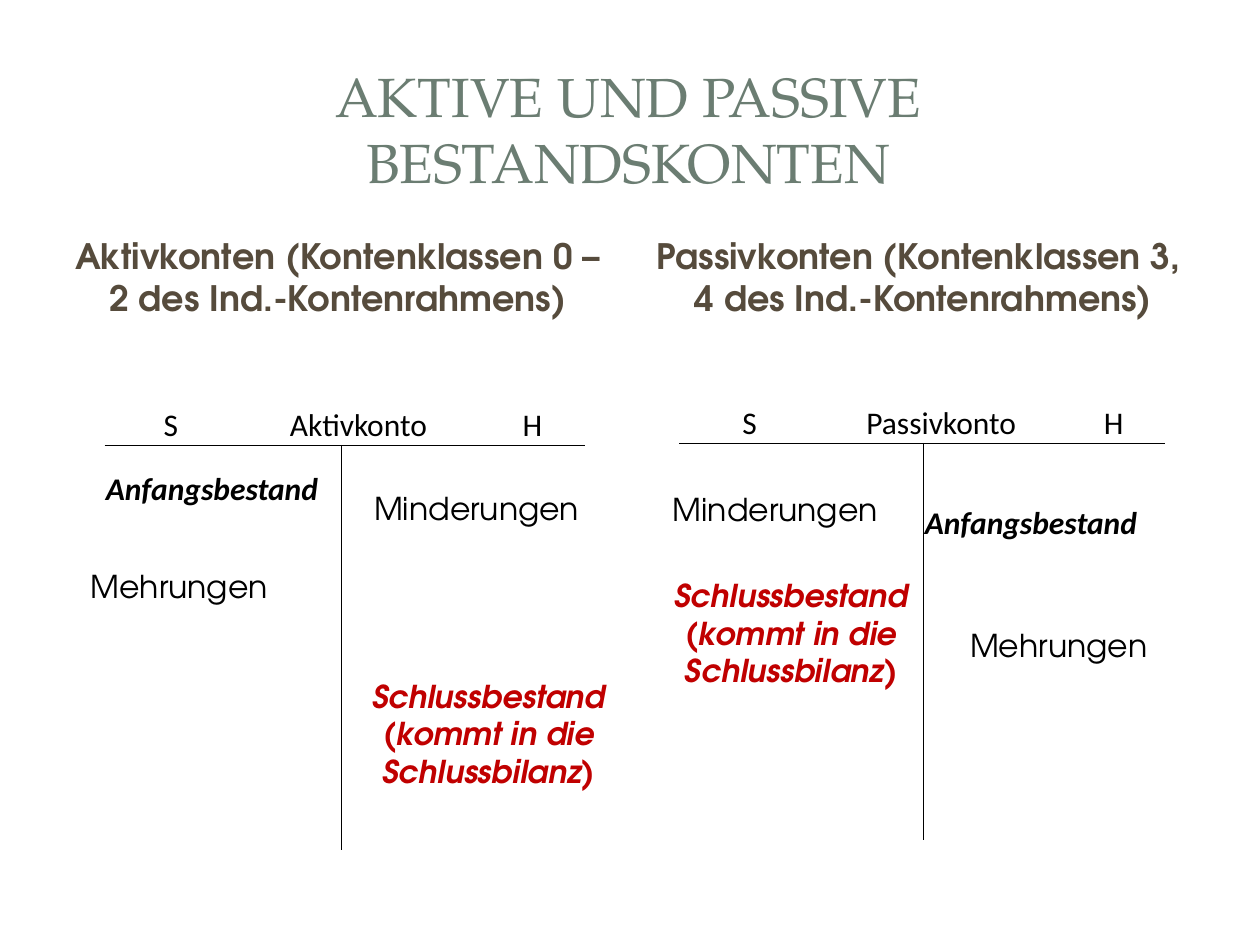
"""Build a slide that contrasts active and passive balance sheet accounts."""
from lxml import etree
from pptx import Presentation
from pptx.dml.color import RGBColor
from pptx.enum.shapes import MSO_SHAPE
from pptx.enum.text import MSO_ANCHOR, PP_ALIGN
from pptx.oxml.ns import qn
from pptx.util import Inches, Pt

COLORS = {"panel": "FFFFFF", "title": "6B7D72", "heading": "564B3C",
          "text": "000000", "closing": "C00000"}
SERIF, SANS, TABLE_FONT = "TeX Gyre Pagella", "TeX Gyre Adventor", "Calibri"
ROW_COUNT = 5
CLOSING = "Schlussbestand (kommt in die Schlussbilanz)"

PANELS = [
    (MSO_SHAPE.ROUNDED_RECTANGLE, (0.1, 0.11, 9.8, 7.29), 100),
    (MSO_SHAPE.RECTANGLE, (0.3, 0.3, 9.4, 1.45), 83),
    (MSO_SHAPE.RECTANGLE, (0.41, 0.41, 9.17, 1.22), 100),
]
TITLE = "AKTIVE UND PASSIVE BESTANDSKONTEN"
HEADINGS = [
    (0.47, "Aktivkonten (Kontenklassen 0 – 2 des Ind.-Kontenrahmens)"),
    (5.08, "Passivkonten (Kontenklassen 3,  4 des Ind.-Kontenrahmens)"),
]
ACCOUNTS = [
    {"name": "Aktivkonto", "left": 0.83, "columns": [1.05, 0.83, 1.1, 0.83],
     "height": 4.02, "opening_column": 0, "opening_bottom": 0.3},
    {"name": "Passivkonto", "left": 5.39, "columns": [1.12, 0.82, 1.1, 0.82],
     "height": 3.94, "opening_column": 2, "opening_bottom": 0},
]
ENTRIES = [
    ("Mehrungen", 0.62, 4.45, 1.81),
    ("Minderungen", 2.87, 3.83, 1.89),
    ("Minderungen", 5.24, 3.84, 1.89),
    ("Mehrungen", 7.6, 4.92, 1.81),
]
CLOSING_PLACES = [(2.84, 5.32), (5.24, 4.52)]


def add_panel(slide, kind, place, opacity):
    shape = slide.shapes.add_shape(kind, *map(Inches, place))
    shape.shadow.inherit = False
    shape.line.fill.background()
    shape.fill.solid()
    shape.fill.fore_color.rgb = RGBColor.from_string(COLORS["panel"])
    if kind == MSO_SHAPE.ROUNDED_RECTANGLE:
        shape.adjustments[0] = 0.02
    if opacity < 100:
        color = shape.fill._xPr.find(f".//{qn('a:srgbClr')}")
        etree.SubElement(color, qn("a:alpha"), val=str(opacity * 1000))


def write_text(frame, text, font=SANS, size=18, color="text", bold=False,
               italic=False, align=PP_ALIGN.LEFT):
    frame.word_wrap = True
    paragraph = frame.paragraphs[0]
    paragraph.alignment = align
    run = paragraph.add_run()
    run.text = text
    run.font.name, run.font.size = font, Pt(size)
    run.font.bold, run.font.italic = bold, italic
    run.font.color.rgb = RGBColor.from_string(COLORS[color])


def add_text(slide, text, left, top, width, height, anchor=MSO_ANCHOR.TOP, **style):
    box = slide.shapes.add_textbox(Inches(left), Inches(top), Inches(width), Inches(height))
    box.text_frame.vertical_anchor = anchor
    write_text(box.text_frame, text, **style)


def set_borders(cell, visible_sides):
    properties = cell._tc.get_or_add_tcPr()
    for side in "LRTB":
        line = etree.SubElement(properties, qn(f"a:ln{side}"), w=str(Pt(0.5)))
        if side in visible_sides:
            fill = etree.SubElement(line, qn("a:solidFill"))
            etree.SubElement(fill, qn("a:srgbClr"), val=COLORS["text"])
        else:
            etree.SubElement(line, qn("a:noFill"))


def visible_sides(row, first_column, last_column):
    if row == 0:
        return "B"
    sides = "T" if row == 1 else ""
    if last_column == 1:
        sides += "R"
    if first_column == 2:
        sides += "L"
    return sides


def add_account(slide, account):
    columns, height = account["columns"], account["height"]
    opening = account["opening_column"]
    table = slide.shapes.add_table(
        ROW_COUNT, len(columns), Inches(account["left"]), Inches(2.73),
        Inches(sum(columns)), Inches(height)).table
    table.first_row = table.horz_banding = False
    for column, width in zip(table.columns, columns):
        column.width = Inches(width)
    for row in table.rows:
        row.height = Inches(height / ROW_COUNT)

    merged = [(0, 1), (1, opening)]
    for row, column in merged:
        table.cell(row, column).merge(table.cell(row, column + 1))
    for row in range(ROW_COUNT):
        for column in range(len(columns)):
            cell = table.cell(row, column)
            last_column = column + 1 if (row, column) in merged else column
            set_borders(cell, visible_sides(row, column, last_column))
            cell.fill.background()

    centred = {"align": PP_ALIGN.CENTER}
    contents = [
        (0, 0, "S", 0, centred),
        (0, 1, account["name"], 0, centred),
        (0, 3, "H", 0, centred),
        (1, opening, "Anfangsbestand", account["opening_bottom"],
         {"bold": True, "italic": True}),
    ]
    for row, column, text, bottom, style in contents:
        cell = table.cell(row, column)
        cell.margin_left = cell.margin_right = cell.margin_top = Inches(0.01)
        cell.margin_bottom = Inches(bottom)
        cell.vertical_anchor = MSO_ANCHOR.BOTTOM
        write_text(cell.text_frame, text, font=TABLE_FONT, **style)


def main():
    presentation = Presentation()
    presentation.slide_width, presentation.slide_height = Inches(10), Inches(7.5)
    slide = presentation.slides.add_slide(presentation.slide_layouts[6])
    for kind, place, opacity in PANELS:
        add_panel(slide, kind, place, opacity)
    add_text(slide, TITLE, 0.47, 0.45, 9.03, 1.14, anchor=MSO_ANCHOR.MIDDLE,
             font=SERIF, size=31.5, color="title", align=PP_ALIGN.CENTER)
    for left, text in HEADINGS:
        add_text(slide, text, left, 1.88, 4.42, 0.7, anchor=MSO_ANCHOR.BOTTOM,
                 size=20, color="heading", bold=True, align=PP_ALIGN.CENTER)
    for account in ACCOUNTS:
        add_account(slide, account)
    for text, left, top, width in ENTRIES:
        add_text(slide, text, left, top, width, 0.4)
    for left, top in CLOSING_PLACES:
        add_text(slide, CLOSING, left, top, 2.08, 1.01, color="closing",
                 bold=True, italic=True, align=PP_ALIGN.CENTER)
    presentation.save("out.pptx")


if __name__ == "__main__":
    main()
